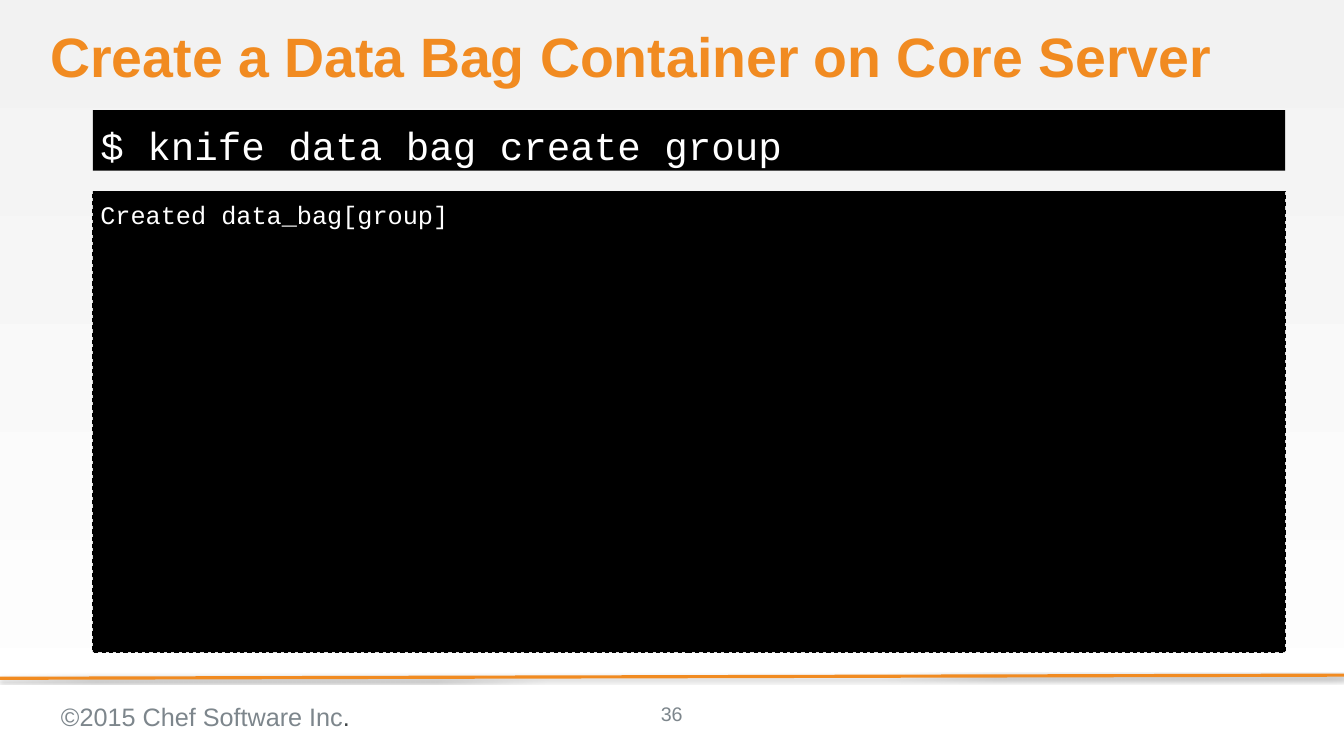
from lxml import etree
from pptx import Presentation
from pptx.dml.color import RGBColor
from pptx.enum.dml import MSO_LINE
from pptx.enum.shapes import MSO_CONNECTOR, MSO_SHAPE
from pptx.enum.text import MSO_ANCHOR, PP_ALIGN
from pptx.util import Pt

ORANGE = RGBColor(0xF1, 0x8B, 0x21)
BLACK = RGBColor(0x00, 0x00, 0x00)
WHITE = RGBColor(0xFF, 0xFF, 0xFF)
PALE_GRAY = RGBColor(0xF2, 0xF2, 0xF2)
GRAY = RGBColor(0x7D, 0x86, 0x8C)
DARK_GRAY = RGBColor(0x3E, 0x43, 0x46)
TOP, MIDDLE = MSO_ANCHOR.TOP, MSO_ANCHOR.MIDDLE
LEFT, CENTER = PP_ALIGN.LEFT, PP_ALIGN.CENTER
RECTANGLE, STRAIGHT, DASH = MSO_SHAPE.RECTANGLE, MSO_CONNECTOR.STRAIGHT, MSO_LINE.DASH
SANS, MONO = "Arial", "Courier New"
WIDTH, HEIGHT = 1280, 720

RULE_SHADOW = (
    '<a:effectLst xmlns:a="http://schemas.openxmlformats.org/drawingml/2006/main">'
    '<a:outerShdw blurRad="39370" dist="22860" dir="5400000" rotWithShape="0">'
    '<a:srgbClr val="000000"><a:alpha val="35000"/></a:srgbClr>'
    '</a:outerShdw></a:effectLst>'
)


def points(box):
    return [Pt(length) for length in box]


def write(frame, runs, size, font, align=LEFT, **frame_format):
    """Fill a text frame with one paragraph of (text, colour) runs."""
    for name, value in {"word_wrap": True, **frame_format}.items():
        setattr(frame, name, value)
    paragraph = frame.paragraphs[0]
    paragraph.alignment = align
    for text, color in runs:
        run = paragraph.add_run()
        run.text = text
        for name, value in {"size": Pt(size), "name": font}.items():
            setattr(run.font, name, value)
        run.font.color.rgb = color
    return paragraph


def paint_background(slide):
    fill = slide.background.fill
    fill.gradient()
    fill.gradient_angle = 270
    for stop, color in zip(fill.gradient_stops, (PALE_GRAY, WHITE)):
        stop.color.rgb = color


def place_title(slide, box, text):
    title = slide.shapes.title
    title.left, title.top, title.width, title.height = points(box)
    paragraph = write(title.text_frame, [(text, ORANGE)], 52.8, SANS,
                      vertical_anchor=MIDDLE, margin_left=0, margin_top=0,
                      margin_right=0, margin_bottom=0)
    paragraph.line_spacing = 0.9
    paragraph.runs[0].font.bold = True


def add_terminal(slide, box, text, size, dashed=False, **frame_format):
    panel = slide.shapes.add_shape(RECTANGLE, *points(box))
    panel.shadow.inherit = False
    panel.fill.solid()
    panel.fill.fore_color.rgb = BLACK
    if dashed:
        panel.line.color.rgb = BLACK
        panel.line.width = Pt(1)
        panel.line.dash_style = DASH
    else:
        panel.line.fill.background()
    write(panel.text_frame, [(text, WHITE)], size, MONO, **frame_format)


def add_footer(slide, box):
    left, top, width, height = box
    # Slanted rule above the footer
    rule = slide.shapes.add_connector(
        STRAIGHT, *points((left + width, top, left, top + 3)))
    rule.line.color.rgb = ORANGE
    rule.line.width = Pt(3)
    rule._element.spPr.append(etree.fromstring(RULE_SHADOW))

    # Copyright line and page number
    copyright_line = slide.shapes.add_textbox(*points((left + 51, top + 21.5, 419, 40)))
    write(copyright_line.text_frame,
          [("©2015 Chef Software Inc", GRAY), (".", DARK_GRAY)], 24, SANS)
    page_number = slide.shapes.add_textbox(*points((left + 582.5, top + 22, 114.5, 38)))
    write(page_number.text_frame, [("36", GRAY)], 18.7, SANS, CENTER)


def main():
    deck = Presentation()
    deck.slide_width, deck.slide_height = Pt(WIDTH), Pt(HEIGHT)
    slide = deck.slides.add_slide(deck.slide_layouts[5])

    paint_background(slide)
    add_footer(slide, (0, 643, WIDTH, HEIGHT - 643))
    place_title(slide, (48, 24, 1176, 65.5), "Create a Data Bag Container on Core Server")
    # Command output, then the command itself
    add_terminal(slide, (88.5, 182, 1135.5, 439), "Created data_bag[group]", 24,
                 dashed=True, vertical_anchor=TOP, margin_top=Pt(8))
    add_terminal(slide, (88.5, 105, 1135.5, 57.5), "$ knife data bag create group", 37.3,
                 vertical_anchor=MIDDLE, margin_top=Pt(8), margin_right=0, margin_bottom=0)
    deck.save("out.pptx")


if __name__ == "__main__":
    main()
